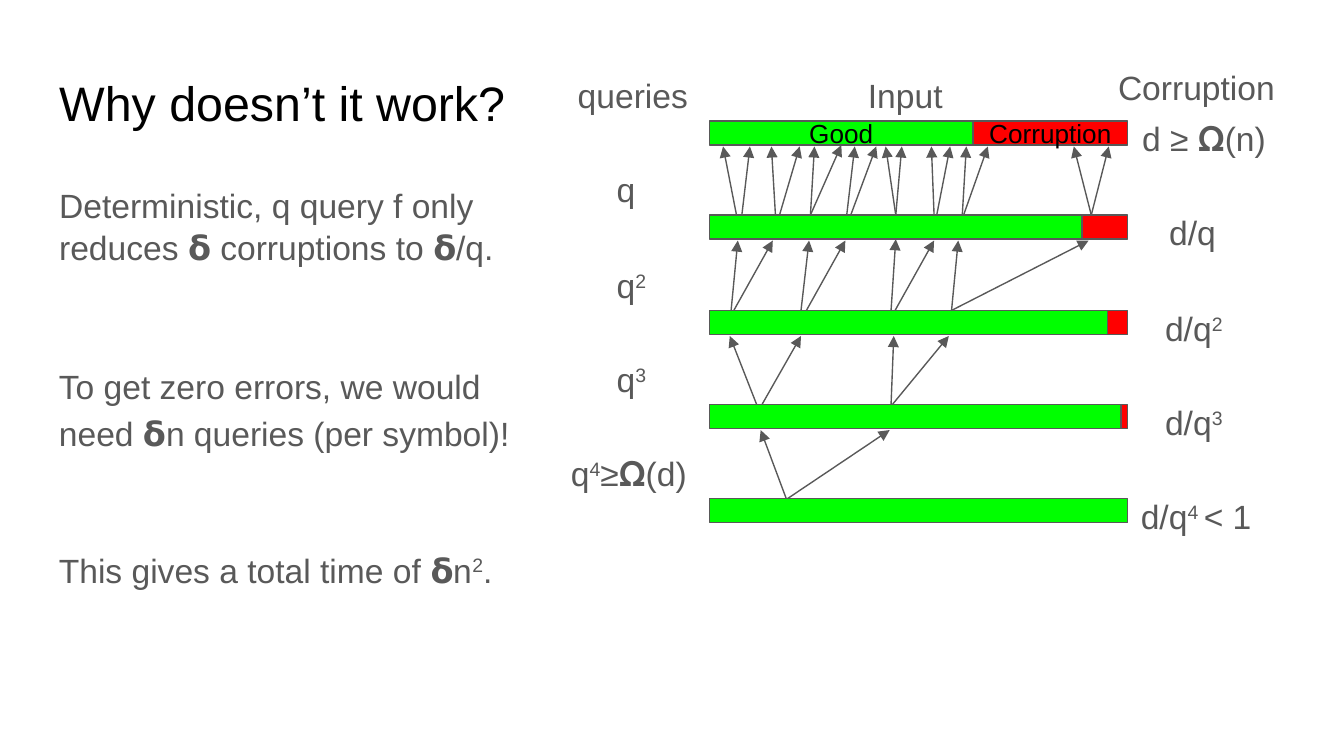
from lxml import etree
from pptx import Presentation
from pptx.dml.color import RGBColor
from pptx.enum.shapes import MSO_CONNECTOR, MSO_SHAPE
from pptx.enum.text import MSO_ANCHOR, MSO_AUTO_SIZE, PP_ALIGN
from pptx.oxml.ns import qn
from pptx.util import Inches, Pt

BLACK = RGBColor(0x00, 0x00, 0x00)
GRAY = RGBColor(0x59, 0x59, 0x59)
GREEN = RGBColor(0x00, 0xFF, 0x00)
RED = RGBColor(0xFF, 0x00, 0x00)

BAR_LEFT, BAR_RIGHT, BAR_H = 5.28, 8.39, 0.18
ARROW_GAP = 0.01

# Rows: top, width of the good part, query label, corruption label (left, width, text)
ROWS = [
    (0.90, 1.96, None, (8.40, 1.21, "d ≥ 𝛀(n)")),
    (1.60, 2.77, (4.49, 0.45, "q"), (8.60, 0.62, "d/q")),
    (2.31, 2.96, (4.49, 0.45, "q^2"), (8.57, 0.68, "d/q^2")),
    (3.01, 3.06, (4.49, 0.45, "q^3"), (8.57, 0.68, "d/q^3")),
    (3.71, 3.11, (4.15, 1.13, "q^4^≥𝛀(d)"), (8.39, 1.13, "d/q^4 ^< 1")),
]

# Arrows from each row up to the one above: start x, end x
ARROWS = {
    1: [(5.48, 5.38), (5.52, 5.58), (5.77, 5.74), (5.80, 5.95), (6.03, 6.06),
        (6.03, 6.25), (6.30, 6.36), (6.33, 6.52), (6.66, 6.59), (6.66, 6.71),
        (6.95, 6.93), (6.97, 7.07), (7.16, 7.19), (7.17, 7.35), (8.12, 7.99),
        (8.12, 8.25)],
    2: [(5.44, 5.49), (5.46, 5.75), (5.96, 6.02), (6.00, 6.29), (6.63, 6.65),
        (6.66, 6.95), (7.08, 7.13), (7.08, 8.10)],
    3: [(5.63, 5.43), (5.67, 5.96), (6.63, 6.65), (6.64, 7.06)],
    4: [(5.85, 5.66), (5.86, 6.62)],
}


def write(tf, *texts, size=18, color=GRAY, align=PP_ALIGN.LEFT, spacing=None,
          gap=0, anchor=MSO_ANCHOR.TOP, inset=0.1):
    """Write one paragraph per text; ^ switches superscript on and off."""
    tf.word_wrap = True
    tf.auto_size = MSO_AUTO_SIZE.NONE
    tf.vertical_anchor = anchor
    tf.margin_left = tf.margin_right = Inches(0.1)
    tf.margin_top = tf.margin_bottom = Inches(inset)
    for i, text in enumerate(texts):
        p = tf.add_paragraph() if i else tf.paragraphs[0]
        pPr = p._p.get_or_add_pPr()
        pPr.set("marL", "0")
        pPr.set("indent", "0")
        etree.SubElement(pPr, qn("a:buNone"))
        p.alignment = align
        p.space_before = Pt(gap if i else 0)
        if spacing:
            p.line_spacing = spacing
        for j, part in enumerate(text.split("^")):
            if not part:
                continue
            r = p.add_run()
            r.text = part
            r.font.name = "Arial"
            r.font.size = Pt(size)
            r.font.color.rgb = color
            if j % 2:
                r._r.get_or_add_rPr().set("baseline", "30000")


def place(sp, left, top, width, height):
    sp.left, sp.top = Inches(left), Inches(top)
    sp.width, sp.height = Inches(width), Inches(height)


def add_label(s, left, top, width, height, *texts, **fmt):
    sp = s.shapes.add_textbox(*map(Inches, (left, top, width, height)))
    write(sp.text_frame, *texts, **fmt)


def add_bar(s, left, top, width, color, text=None):
    sp = s.shapes.add_shape(MSO_SHAPE.RECTANGLE,
                            *map(Inches, (left, top, width, BAR_H)))
    sp.shadow.inherit = False
    sp.fill.solid()
    sp.fill.fore_color.rgb = color
    sp.line.color.rgb = GRAY
    sp.line.width = Pt(0.75)
    if text:
        write(sp.text_frame, text, size=14, color=BLACK, align=PP_ALIGN.CENTER,
              anchor=MSO_ANCHOR.MIDDLE, inset=0.08)
    return sp


def at_middle(bar, x):
    return abs(bar.left + bar.width / 2 - Inches(x)) < Inches(0.02)


def add_arrow(s, lower, upper, x1, x2):
    """Point from the top of the lower bar to the bottom of the upper bar."""
    c = s.shapes.add_connector(
        MSO_CONNECTOR.STRAIGHT, Inches(x1), lower.top, Inches(x2),
        upper.top + upper.height + Inches(ARROW_GAP))
    if at_middle(lower, x1):
        c.begin_connect(lower, 0)
    if at_middle(upper, x2):
        c.end_connect(upper, 2)
    c.line.color.rgb = GRAY
    c.line.width = Pt(0.75)
    etree.SubElement(c.line._get_or_add_ln(), qn("a:tailEnd"), type="triangle")
    etree.SubElement(c._element.spPr, qn("a:effectLst"))


def add_diagram(s):
    # Column headings
    add_label(s, 4.20, 0.46, 1.02, 0.37, "queries")
    add_label(s, 6.36, 0.46, 0.83, 0.37, "Input")
    add_label(s, 8.22, 0.40, 1.39, 0.37, "Corruption")

    # Bars with their labels
    bars = []
    for i, (top, good, query, corruption) in enumerate(ROWS):
        bars.append(add_bar(s, BAR_LEFT, top, good, GREEN, None if i else "Good"))
        split = BAR_LEFT + good
        if BAR_RIGHT - split > 0.01:
            add_bar(s, split, top, BAR_RIGHT - split, RED,
                    None if i else "Corruption")
        if query:
            left, width, text = query
            add_label(s, left, top - 0.44, width, 0.37, text)
        left, width, text = corruption
        add_label(s, left, top - 0.12, width, 0.5, text)

    # Arrows between neighbouring rows
    for row, pairs in ARROWS.items():
        for x1, x2 in pairs:
            add_arrow(s, bars[row], bars[row - 1], x1, x2)


def main():
    prs = Presentation()
    prs.slide_width = Inches(10)
    prs.slide_height = prs.slide_width * 9 // 16
    s = prs.slides.add_slide(prs.slide_layouts[1])

    # Title and explanation
    title, body = s.shapes.title, s.placeholders[1]
    place(title, 0.34, 0.49, 3.63, 0.63)
    write(title.text_frame, "Why doesn’t it work?", size=25.9, color=BLACK,
          spacing=0.9)
    place(body, 0.34, 1.26, 3.63, 0.84)
    write(body.text_frame,
          "Deterministic, q query f only reduces 𝝳 corruptions to 𝝳/q.",
          spacing=1.05)
    add_label(s, 0.34, 2.58, 3.63, 1.91,
              "To get zero errors, we would need 𝝳n queries (per symbol)!",
              "This gives a total time of 𝝳n^2^.", spacing=1.15, gap=48.5)

    add_diagram(s)
    prs.save("out.pptx")


if __name__ == "__main__":
    main()
